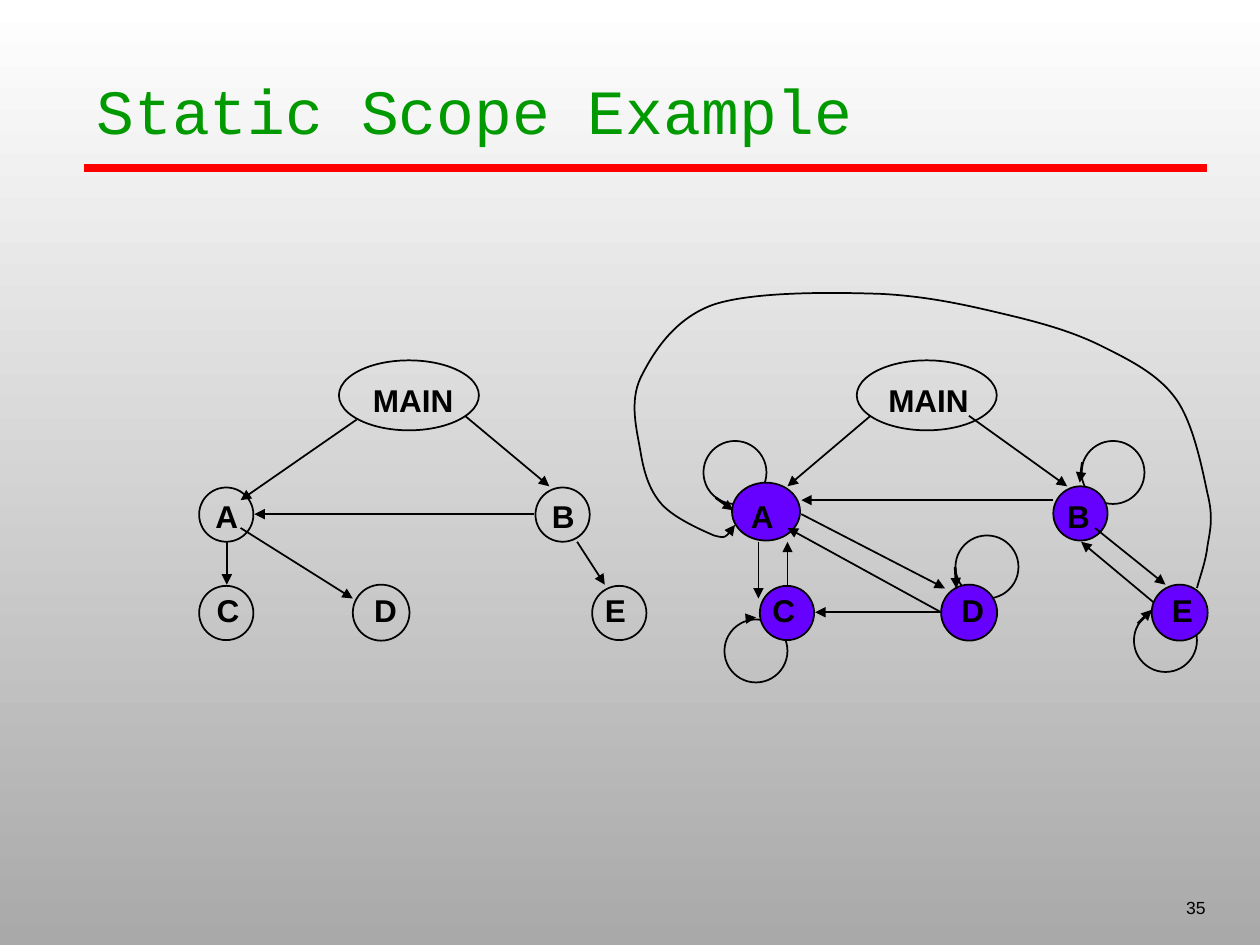
from dataclasses import dataclass

from pptx import Presentation
from pptx.dml.color import RGBColor
from pptx.enum.shapes import MSO_CONNECTOR, MSO_SHAPE
from pptx.enum.text import MSO_ANCHOR, MSO_AUTO_SIZE, PP_ALIGN
from pptx.oxml.ns import qn
from pptx.util import Pt
from lxml.etree import SubElement


@dataclass(frozen=True)
class Theme:
    top: str = "FFFFFF"
    base: str = "A9A9A9"
    title: str = "009900"
    rule: str = "FF0000"
    ink: str = "000000"
    node: str = "6600FF"
    sans: str = "Arial"
    mono: str = "Courier New"
    title_size: int = 36
    label_size: int = 18
    page_size: int = 10


THEME = Theme()
TITLE = "Static Scope Example"
PAGE = "35"

# Label, left, top, width, height, label left
TREE = [
    ("MAIN", 193.7, 205.9, 80, 40, 209.5),
    ("A", 113.8, 278.6, 31, 31, 119.5),
    ("B", 306, 278.6, 31, 31, 311.8),
    ("C", 113.8, 334.8, 31, 31, 120.2),
    ("D", 201.6, 334.1, 32.4, 32, 210.2),
    ("E", 338.4, 334.8, 31, 31, 342),
]
MAIN = [("MAIN", 489.6, 205.9, 80, 40, 504)]
UPPER = [
    ("A", 418.3, 275.8, 38.9, 33.1, 425.5),
    ("B", 601.9, 277.9, 31, 31, 606.2),
    ("C", 434.2, 334.8, 31, 31, 437.8),
]
LOWER = [
    ("D", 537.8, 334.1, 32, 32, 545.8),
    ("E", 658.1, 334.1, 32, 32, 666),
]
# Row of labels for each row of nodes: lowest node top, label top
ROWS = [(330, 336.2), (270, 282.2), (200, 216)]

LOOP = 36
LOOPS = [(402, 252), (618, 252), (414, 354), (546, 306), (648, 348)]

# From x, y, to x, y
ARROWS = [
    (203.8, 239.8, 137.5, 285.8),
    (305.3, 293.8, 145.4, 293.8),
    (129.6, 309.6, 129.6, 334.1),
    (137.5, 301.7, 201.6, 342),
    (265.7, 237.6, 313.9, 277.9),
    (329.8, 309.6, 345.6, 334.1),
    (497.5, 237.6, 450, 277.9),
    (553.7, 237.6, 609.8, 277.9),
    (450, 334.1, 450, 309.6),
    (433.4, 309.6, 433.4, 342),
    (625.7, 301.7, 666, 334.1),
    (666, 349.9, 617.8, 309.6),
    (601.9, 285.8, 457.9, 285.8),
    (457.9, 293.8, 540, 336.2),
    (537.8, 349.9, 450, 301.7),
    (537.8, 349.9, 465.8, 349.9),
]
TIPS = [
    (409, 284.4, 419, 291.6),
    (426.2, 353.5, 432, 352.8),
    (545.8, 324, 546.5, 336.2),
    (650.2, 356.4, 658.1, 348.5),
    (618.5, 264.2, 617, 275.8),
]

# Start point, then three points for each Bezier curve
ARC = [
    (684, 336),
    (686, 328.5), (689, 321), (690, 312),
    (691.5, 303), (693.5, 296), (690, 282),
    (687, 268), (682, 242), (672, 228),
    (662, 214), (646, 206), (630, 198),
    (614, 190), (597, 185), (576, 180),
    (555, 175), (532, 169.5), (504, 168),
    (476, 167), (431, 166.5), (408, 174),
    (385, 182), (373, 202), (366, 216),
    (359.5, 230), (364, 246), (366, 258),
    (368, 270), (371, 280), (378, 288),
    (385, 296), (401, 303), (408, 306),
    (415, 308), (417.5, 304), (420, 300),
]


def paint(line, color, width):
    line.color.rgb = RGBColor.from_string(color)
    line.width = Pt(width)


def style(para, face, size, color, bold=False):
    font = para.font
    font.name, font.size, font.bold = face, Pt(size), bold
    font.color.rgb = RGBColor.from_string(color)


def add_tip(shape):
    """Put an arrowhead at the end of a line."""
    SubElement(shape.line._get_or_add_ln(), qn("a:tailEnd"), type="triangle")


def add_line(shapes, ends, color=THEME.ink, width=1.0, tip=True):
    line = shapes.add_connector(MSO_CONNECTOR.STRAIGHT, *map(Pt, ends))
    paint(line.line, color, width)
    if tip:
        add_tip(line)
    SubElement(line._element.spPr, qn("a:effectLst"))


def add_oval(shapes, box, fill=None):
    oval = shapes.add_shape(MSO_SHAPE.OVAL, *map(Pt, box))
    oval.shadow.inherit = False
    if fill:
        oval.fill.solid()
        oval.fill.fore_color.rgb = RGBColor.from_string(fill)
    else:
        oval.fill.background()
    paint(oval.line, THEME.ink, 1)


def add_label(shapes, node):
    text, top, left = node[0], node[2], node[5]
    y = next(row for low, row in ROWS if top >= low)
    wide = 53.3 if text == "MAIN" else 20.5
    frame = shapes.add_textbox(Pt(left), Pt(y), Pt(wide), Pt(24.5)).text_frame
    frame.word_wrap = False
    frame.auto_size = MSO_AUTO_SIZE.SHAPE_TO_FIT_TEXT
    frame.margin_left = frame.margin_right = Pt(3.6)
    frame.margin_top = frame.margin_bottom = Pt(1.6)
    frame.text = text
    style(frame.paragraphs[0], THEME.sans, THEME.label_size, THEME.ink, True)


def add_arc(shapes):
    """Draw the points as a polyline, then join each three into a curve."""
    first, *rest = [(Pt(x), Pt(y)) for x, y in ARC]
    pen = shapes.build_freeform(*first)
    pen.add_line_segments(rest, close=False)
    arc = pen.convert_to_shape()
    arc.shadow.inherit = False
    arc.fill.background()
    paint(arc.line, THEME.ink, 1)
    add_tip(arc)
    track = next(arc._element.iter(qn("a:path")))
    steps = track.findall(qn("a:lnTo"))
    for i in range(0, len(steps), 3):
        curve = SubElement(track, qn("a:cubicBezTo"))
        for step in steps[i:i + 3]:
            curve.append(step[0])
            track.remove(step)


def add_title(slide):
    title = slide.shapes.title
    title.left, title.top, title.width, title.height = map(Pt, (48, 30, 642, 90))
    frame = title.text_frame
    frame.text = TITLE
    frame.vertical_anchor = MSO_ANCHOR.TOP
    frame.auto_size = MSO_AUTO_SIZE.NONE
    frame.margin_top = Pt(10.6)
    frame.paragraphs[0].alignment = PP_ALIGN.LEFT
    style(frame.paragraphs[0], THEME.mono, THEME.title_size, THEME.title)


def add_page(shapes):
    frame = shapes.add_textbox(Pt(546), Pt(492), Pt(150), Pt(36)).text_frame
    frame.word_wrap = True
    frame.vertical_anchor = MSO_ANCHOR.BOTTOM
    frame.text = PAGE
    frame.paragraphs[0].alignment = PP_ALIGN.RIGHT
    style(frame.paragraphs[0], THEME.sans, THEME.page_size, THEME.ink)


def main():
    deck = Presentation()
    deck.slide_width, deck.slide_height = Pt(720), Pt(540)
    slide = deck.slides.add_slide(deck.slide_layouts[5])
    shapes = slide.shapes
    back = slide.background.fill
    back.gradient()
    back.gradient_angle = 270
    for stop, color in zip(back.gradient_stops, (THEME.top, THEME.base)):
        stop.color.rgb = RGBColor.from_string(color)

    add_line(shapes, (48, 96, 690, 96), THEME.rule, 4.5, tip=False)
    for x, y in LOOPS:
        add_oval(shapes, (x, y, LOOP, LOOP))
    add_title(slide)
    for node in TREE + MAIN:
        add_oval(shapes, node[1:5])
    for node in UPPER:
        add_oval(shapes, node[1:5], THEME.node)
    for ends in ARROWS:
        add_line(shapes, ends)
    for node in LOWER:
        add_oval(shapes, node[1:5], THEME.node)
    add_arc(shapes)
    for ends in TIPS:
        add_line(shapes, ends, width=1.5)
    for node in TREE + MAIN + UPPER + LOWER:
        add_label(shapes, node)
    add_page(shapes)
    deck.save("out.pptx")


if __name__ == "__main__":
    main()
